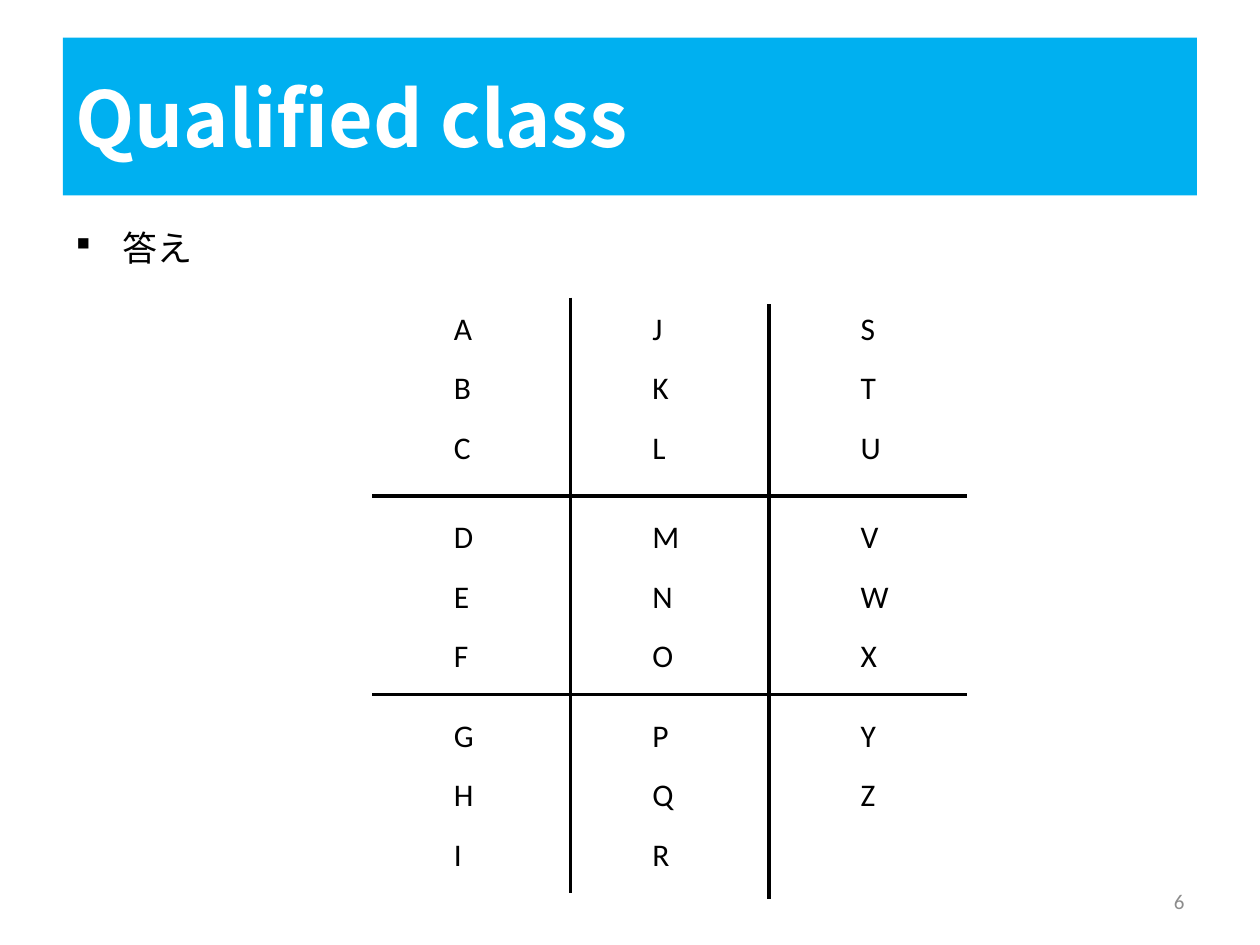
"""Build the "Qualified class" slide with its three-by-three letter grid."""
from dataclasses import dataclass

from lxml import etree
from pptx import Presentation
from pptx.dml.color import RGBColor
from pptx.enum.shapes import MSO_CONNECTOR, MSO_SHAPE
from pptx.enum.text import MSO_ANCHOR, PP_ALIGN
from pptx.oxml.ns import qn
from pptx.util import Cm, Pt

STRAIGHT = MSO_CONNECTOR.STRAIGHT
RECTANGLE = MSO_SHAPE.RECTANGLE
TOP, MIDDLE = MSO_ANCHOR.TOP, MSO_ANCHOR.MIDDLE
LEFT, RIGHT = PP_ALIGN.LEFT, PP_ALIGN.RIGHT


@dataclass(frozen=True)
class Theme:
    banner: str = "00B0F0"
    white: str = "FFFFFF"
    black: str = "000000"
    grey: str = "8C8C8C"
    heading_font: str = "Noto Sans CJK JP"
    letter_font: str = "Calibri"
    title_size: int = 44
    body_size: int = 20
    letter_size: int = 18
    number_size: int = 12
    line_width: int = 2


THEME = Theme()
COLUMN_LEFTS = (8.9, 12.9, 17.1)
BLOCK_TOPS = (6.1, 10.3, 14.3)
ROW_STEP = 1.2
COLUMN_LETTERS = ("ABCDEFGHI", "JKLMNOPQR", "STUVWXYZ")
GRID_LINES = (
    (7.5, 10, 19.5, 10),
    (7.5, 14, 19.5, 14),
    (11.5, 6, 11.5, 18),
    (15.5, 6.13, 15.5, 18.13),
)


def write(sp, text, name, size, color, bold=False, align=LEFT, anchor=TOP):
    tf = sp.text_frame
    tf.word_wrap = True
    tf.vertical_anchor = anchor
    p = tf.paragraphs[0]
    p.text = text
    p.alignment = align
    font = p.font
    font.name, font.size, font.bold = name, Pt(size), bold
    font.color.rgb = RGBColor.from_string(color)
    properties = p._p.pPr.find(qn("a:defRPr"))
    etree.SubElement(properties, qn("a:ea"), typeface=name)
    return p


def add_text(s, box, *args, **kwargs):
    sp = s.shapes.add_textbox(*map(Cm, box))
    return write(sp, *args, **kwargs)


def add_banner(s, box, text):
    sp = s.shapes.add_shape(RECTANGLE, *map(Cm, box))
    sp.shadow.inherit = False
    sp.fill.solid()
    sp.fill.fore_color.rgb = RGBColor.from_string(THEME.banner)
    sp.line.fill.background()
    write(sp, text, THEME.heading_font, THEME.title_size, THEME.white,
          bold=True, anchor=MIDDLE)


def add_bullet(p, indent):
    p.space_before = Pt(THEME.body_size * 0.2)
    pPr = p._p.pPr
    pPr.set("marL", str(Cm(indent)))
    pPr.set("indent", str(-Cm(indent)))
    color = etree.Element(qn("a:buClr"))
    etree.SubElement(color, qn("a:srgbClr"), val=THEME.black)
    font = etree.Element(qn("a:buFont"), typeface="Wingdings")
    char = etree.Element(qn("a:buChar"), char="§")
    for element in (color, font, char):
        pPr.find(qn("a:defRPr")).addprevious(element)


def add_line(s, ends):
    line = s.shapes.add_connector(STRAIGHT, *map(Cm, ends))
    line.line.color.rgb = RGBColor.from_string(THEME.black)
    line.line.width = Pt(THEME.line_width)
    etree.SubElement(line._element.spPr, qn("a:effectLst"))


def add_letters(s):
    for left, letters in zip(COLUMN_LEFTS, COLUMN_LETTERS):
        for i, letter in enumerate(letters):
            block, row = divmod(i, 3)
            top = BLOCK_TOPS[block] + row * ROW_STEP
            add_text(s, (left, top, 1, 1.02), letter, THEME.letter_font,
                     THEME.letter_size, THEME.black)


def main():
    prs = Presentation()
    prs.slide_width, prs.slide_height = Cm(25.4), Cm(19.05)
    s = prs.slides.add_slide(prs.slide_layouts[6])
    answer = add_text(s, (1.27, 4.45, 22.86, 12.57), "答え",
                      THEME.heading_font, THEME.body_size, THEME.black)
    add_bullet(answer, 0.95)
    add_text(s, (18.2, 17.66, 5.93, 1.01), "6", THEME.letter_font,
             THEME.number_size, THEME.grey, align=RIGHT, anchor=MIDDLE)
    add_banner(s, (1.27, 0.76, 22.86, 3.18), "Qualified class")
    for ends in GRID_LINES:
        add_line(s, ends)
    add_letters(s)
    prs.save("out.pptx")


if __name__ == "__main__":
    main()
